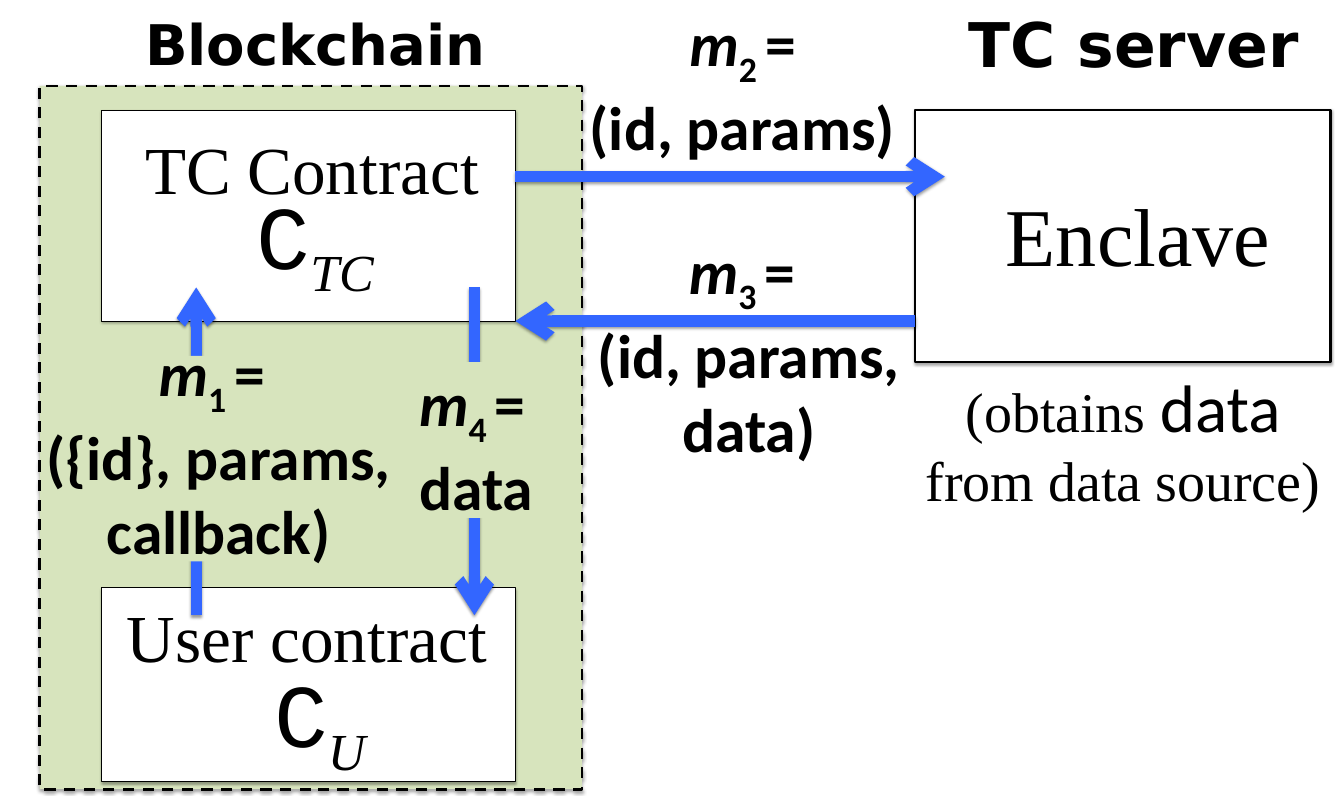
from lxml.etree import SubElement
from pptx import Presentation
from pptx.dml.color import RGBColor
from pptx.enum.dml import MSO_LINE
from pptx.enum.shapes import MSO_CONNECTOR, MSO_SHAPE
from pptx.enum.text import MSO_AUTO_SIZE, PP_ALIGN
from pptx.oxml.ns import qn
from pptx.util import Inches, Pt

BLACK, WHITE, GREEN, BLUE = "000000", "FFFFFF", "D7E4BD", "3366FF"
SERIF, SANS, MONO, HEAD = "Times New Roman", "Calibri", "Courier New", "DejaVu Sans"
MESSAGE = {"name": SANS, "size": Pt(66), "bold": True}


def rgb(value):
    """Turn a hex string into a colour."""
    return RGBColor.from_string(value)


def add_shadow(sp, alpha, dist):
    """Give a shape or connector a soft shadow straight below it."""
    effects = SubElement(sp._element.spPr, qn("a:effectLst"))
    outer = SubElement(effects, qn("a:outerShdw"), blurRad=str(Pt(3.1)), dist=str(Pt(dist)),
                       dir="5400000", rotWithShape="0")
    color = SubElement(outer, qn("a:srgbClr"), val=BLACK)
    SubElement(color, qn("a:alpha"), val=str(alpha * 1000))


def add_box(slide, at, fill, width=None, dash=None):
    """Add a filled rectangle, outlined and shadowed when a line width is given."""
    sp = slide.shapes.add_shape(MSO_SHAPE.RECTANGLE, *map(Inches, at))
    sp.fill.solid()
    sp.fill.fore_color.rgb = rgb(fill)
    if width is None:
        sp.shadow.inherit = False
        sp.line.fill.background()
        return
    sp.line.color.rgb = rgb(BLACK)
    sp.line.width = Pt(width)
    if dash:
        sp.line.dash_style = dash
    add_shadow(sp, 35, 1.8)


def add_run(p, text, style, subscript=False):
    """Append a formatted run to a paragraph."""
    r = p.add_run()
    r.text = text
    for name, value in style.items():
        setattr(r.font, name, value)
    r.font.color.rgb = rgb(BLACK)
    if subscript:
        r._r.get_or_add_rPr().set("baseline", "-25000")


def add_text(slide, at, paragraphs, wrap=True, align=PP_ALIGN.LEFT):
    """Add a text box whose paragraphs are lists of run arguments."""
    tf = slide.shapes.add_textbox(*map(Inches, at)).text_frame
    tf.word_wrap = wrap
    tf.auto_size = MSO_AUTO_SIZE.SHAPE_TO_FIT_TEXT
    for i, runs in enumerate(paragraphs):
        p = tf.add_paragraph() if i else tf.paragraphs[0]
        p.alignment = align
        for run in runs:
            add_run(p, *run)


def add_label(slide, at, text, font, size, bold=False):
    """Add a one-line label."""
    style = {"name": font, "size": Pt(size), "bold": bold}
    add_text(slide, at, [[(text, style)]], wrap=False)


def add_symbol(slide, at, index):
    """Add the contract symbol C with its subscript."""
    style = {"name": MONO, "size": Pt(96)}
    add_text(slide, at, [[("C", style), (index, style | {"name": SERIF, "italic": True}, True)]])


def add_message(slide, at, number, equals, lines, wrap=True, align=PP_ALIGN.CENTER):
    """Add a numbered message and its contents."""
    name = [("m", MESSAGE | {"italic": True}), (f"{number} ", MESSAGE, True), (equals, MESSAGE)]
    add_text(slide, at, [name] + [[(line, MESSAGE)] for line in lines], wrap, align)


def add_arrow(slide, *ends):
    """Add a thick blue arrow between two points."""
    cn = slide.shapes.add_connector(MSO_CONNECTOR.STRAIGHT, *map(Inches, ends))
    cn.line.color.rgb = rgb(BLUE)
    cn.line.width = Pt(12)
    SubElement(cn.line._get_or_add_ln(), qn("a:tailEnd"), type="arrow")
    add_shadow(cn, 38, 1.6)


def main():
    """Build the slide."""
    prs = Presentation()
    prs.slide_width, prs.slide_height = Inches(20), Inches(12)
    slide = prs.slides.add_slide(prs.slide_layouts[6])

    add_box(slide, (13.62, 1.64, 6.18, 3.75), WHITE, 2.25)
    add_label(slide, (14.87, 2.7, 4.18, 1.58), "Enclave", SERIF, 88)
    add_label(slide, (14.32, 0.04, 5.12, 1.21), "TC server", HEAD, 66, True)
    add_label(slide, (2.06, 0.09, 5.31, 1.11), "Blockchain", HEAD, 60, True)

    add_box(slide, (0.59, 1.28, 8.07, 10.47), GREEN, 3, MSO_LINE.DASH)
    add_box(slide, (1.51, 8.75, 6.16, 2.89), WHITE, 0.75)
    add_label(slide, (1.79, 8.82, 5.62, 1.19), "User contract", SERIF, 72)
    add_symbol(slide, (3.98, 9.75, 2.33, 3.03), "U")
    add_box(slide, (1.51, 1.64, 6.16, 3.14), WHITE, 0.75)
    add_label(slide, (2.06, 1.84, 5.22, 1.31), "TC Contract", SERIF, 72)
    add_symbol(slide, (3.72, 2.63, 2.87, 1.61), "TC")

    add_arrow(slide, 2.92, 9.16, 2.92, 4.28)
    add_arrow(slide, 7.06, 4.28, 7.06, 9.16)
    add_box(slide, (6.14, 5.39, 2.01, 2.32), GREEN)
    add_message(slide, (6.14, 5.39, 2.01, 2.32), 4, "=", ["data"], False, PP_ALIGN.LEFT)
    add_message(slide, (8.28, 0.03, 5.54, 2.32), 2, "=", ["(id, params)"])
    add_message(slide, (8.67, 3.42, 4.95, 3.43), 3, "= ", ["(id, params, data)"])
    add_arrow(slide, 7.67, 2.63, 14.06, 2.63)
    add_arrow(slide, 13.62, 4.78, 7.67, 4.78)
    add_box(slide, (2.53, 5.3, 0.84, 3.06), GREEN)
    add_message(slide, (0.1, 4.94, 6.31, 3.43), 1, "= ", ["({id}, params,", "callback)"])

    serif = {"name": SERIF, "size": Pt(60)}
    note = [("(obtains ", serif), ("data", {"name": SANS, "size": Pt(72)}),
            (" ", serif | {"name": SANS}), ("from data source)", serif)]
    add_text(slide, (13.62, 5.39, 6.18, 2.32), [note], align=PP_ALIGN.CENTER)
    prs.save("out.pptx")


if __name__ == "__main__":
    main()
